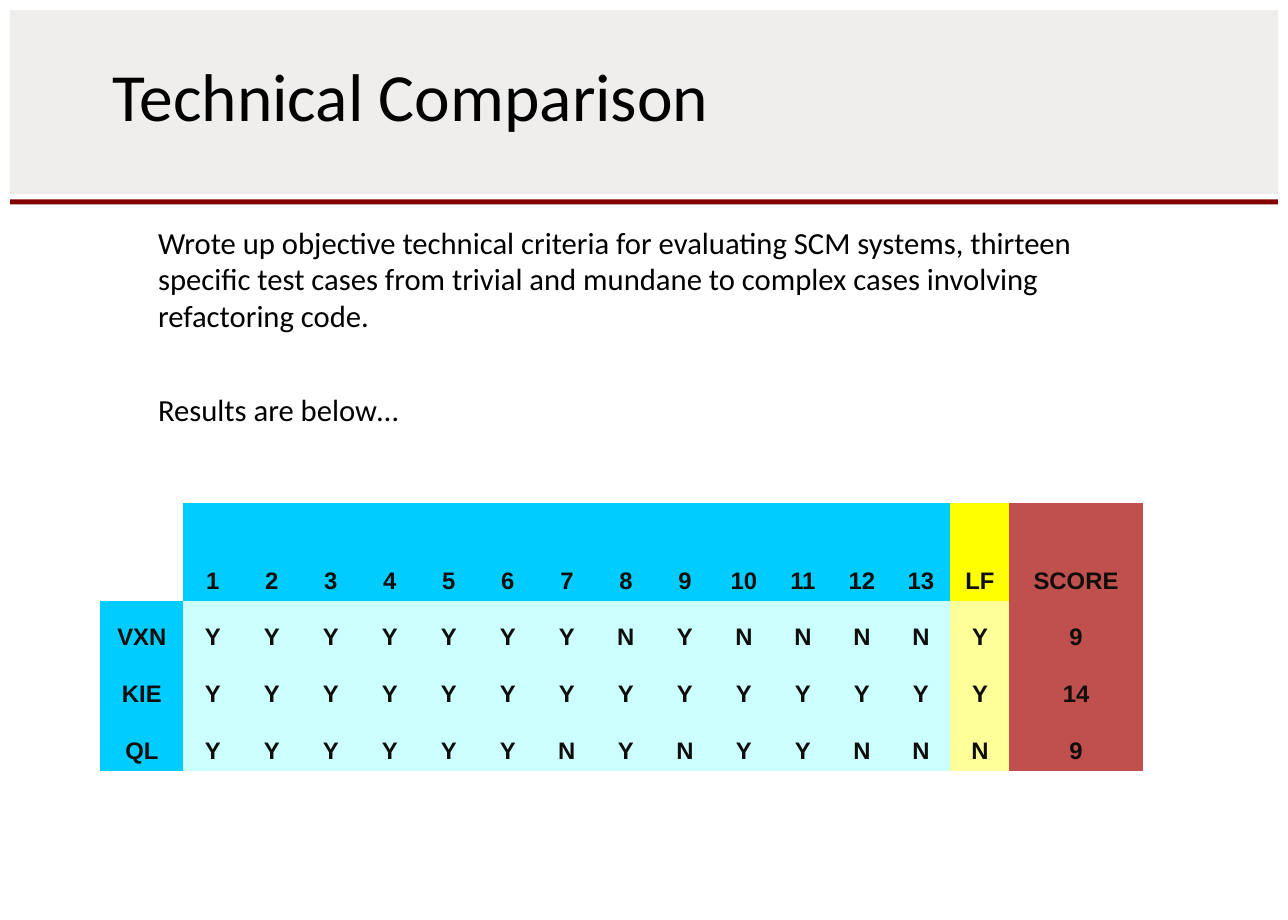
from dataclasses import dataclass

from lxml import etree
from pptx import Presentation
from pptx.dml.color import RGBColor
from pptx.enum import shapes, text
from pptx.oxml.ns import qn
from pptx.util import Pt

HUES = {
    "band": "645B46", "rule": "800000", "black": "000000", "ink": "0F0E0B",
    "head": "00CCFF", "mark": "CCFFFF", "lf_head": "FFFF00",
    "lf": "FFFF99", "score": "C0504D",
}
PLAIN = "{2D5ABB26-0587-4C30-8999-92F81FD0307C}"  # table style without a grid
TESTS = 13
INTRO = (
    "Wrote up objective technical criteria for evaluating SCM systems, thirteen "
    "specific test cases from trivial and mundane to complex cases involving "
    "refactoring code."
)


@dataclass
class Box:
    left: float
    top: float
    width: float
    height: float

    def points(self) -> tuple:
        return Pt(self.left), Pt(self.top), Pt(self.width), Pt(self.height)


@dataclass
class Bar:
    box: Box
    hue: str
    alpha: int = 100


@dataclass
class System:
    name: str
    marks: str  # one letter per test, then LF
    score: int

    def row(self) -> list:
        return [self.name, *self.marks, str(self.score)]


BARS = [
    Bar(Box(6, 6, 744, 108), "band", 10),
    Bar(Box(6, 117, 744, 3), "rule"),
]
SYSTEMS = [
    System("VXN", "YYYYYYYNYNNNNY", 9),
    System("KIE", "YYYYYYYYYYYYYY", 14),
    System("QL", "YYYYYYNYNYYNNN", 9),
]


def rgb(hue: str) -> RGBColor:
    return RGBColor.from_string(HUES[hue])


def style(para, face: str, size: float, hue: str, bold: bool = False) -> None:
    font = para.font
    font.name, font.size, font.bold = face, Pt(size), bold
    font.color.rgb = rgb(hue)


def place(shape, box: Box) -> None:
    shape.left, shape.top, shape.width, shape.height = box.points()


def draw_bar(slide, bar: Bar, depth: int) -> None:
    shape = slide.shapes.add_shape(shapes.MSO_SHAPE.RECTANGLE, *bar.box.points())
    shape.shadow.inherit = False
    shape.line.fill.background()
    shape.fill.solid()
    shape.fill.fore_color.rgb = rgb(bar.hue)
    if bar.alpha < 100:
        tint = shape._element.spPr.find(".//" + qn("a:srgbClr"))
        etree.SubElement(tint, qn("a:alpha"), val=str(bar.alpha * 1000))
    # Keep the bars behind the placeholders
    slide.shapes._spTree.insert(2 + depth, shape._element)


def draw_title(slide) -> None:
    title = slide.shapes.title
    place(title, Box(59, 36.5, 680, 38))
    frame = title.text_frame
    frame.text = "Technical Comparison"
    frame.auto_size = text.MSO_AUTO_SIZE.NONE
    frame.vertical_anchor = text.MSO_ANCHOR.MIDDLE
    para = frame.paragraphs[0]
    para.alignment = text.PP_ALIGN.LEFT
    style(para, "Calibri", 39.6, "black")


def draw_body(slide) -> None:
    body = slide.placeholders[1]
    place(body, Box(59, 127.5, 612, 156))
    frame = body.text_frame
    frame.text = INTRO + "\nResults are below…"
    frame.auto_size = text.MSO_AUTO_SIZE.NONE
    for para, gap in zip(frame.paragraphs, (3.6, 31)):
        style(para, "Calibri", 18, "black")
        para.space_before, para.space_after = Pt(gap), Pt(2.2)
        props = para._p.get_or_add_pPr()
        props.set("marL", str(Pt(26.6)))
        props.set("indent", "0")
        etree.SubElement(props, qn("a:buNone"))
        props.append(props.find(qn("a:defRPr")))


def cell_hue(row: int, col: int) -> str:
    if col == TESTS + 2:
        return "score"
    if col == TESTS + 1:
        return "lf" if row else "lf_head"
    return "mark" if row and col else "head"


def draw_table(slide) -> None:
    head = ["", *(str(n + 1) for n in range(TESTS)), "LF", "SCORE"]
    rows = [head, *(item.row() for item in SYSTEMS)]
    area = Box(59, 295, 612, 157.4)
    grid = slide.shapes.add_table(len(rows), len(head), *area.points()).table
    grid.first_row = grid.horz_banding = False
    grid._tbl.tblPr.find(qn("a:tableStyleId")).text = PLAIN
    for col, width in zip(grid.columns, [48.6] + [34.66] * (TESTS + 1) + [78.16]):
        col.width = Pt(width)
    for line, height in zip(grid.rows, [57.5] + [33.3] * len(SYSTEMS)):
        line.height = Pt(height)

    for r, words in enumerate(rows):
        for c, word in enumerate(words):
            cell = grid.cell(r, c)
            if not word:
                cell.fill.background()
                continue
            cell.fill.solid()
            cell.fill.fore_color.rgb = rgb(cell_hue(r, c))
            cell.vertical_anchor = text.MSO_ANCHOR.BOTTOM
            cell.text = word
            para = cell.text_frame.paragraphs[0]
            para.alignment = text.PP_ALIGN.CENTER
            para.line_spacing = Pt(25.9)
            style(para, "Arial", 14, "ink", True)


def main() -> None:
    deck = Presentation()
    deck.slide_width, deck.slide_height = Pt(756), Pt(540)
    slide = deck.slides.add_slide(deck.slide_layouts[1])
    # Header band and rule
    for depth, bar in enumerate(BARS):
        draw_bar(slide, bar, depth)
    # Text, then results
    draw_title(slide)
    draw_body(slide)
    draw_table(slide)
    deck.save("out.pptx")


if __name__ == "__main__":
    main()
